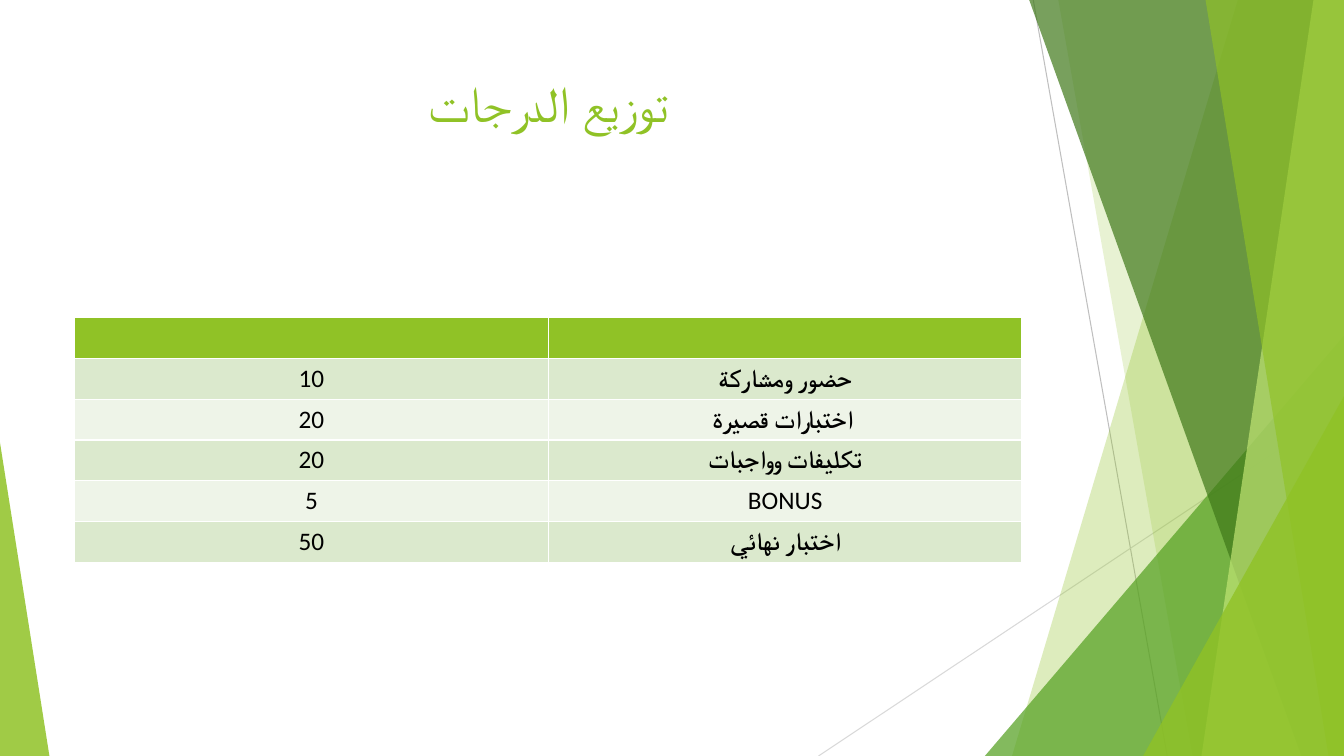
from dataclasses import dataclass

from lxml import etree
from pptx import Presentation
from pptx.dml.color import RGBColor
from pptx.enum.shapes import MSO_CONNECTOR, MSO_SHAPE
from pptx.enum.text import MSO_ANCHOR, PP_ALIGN
from pptx.oxml.ns import qn
from pptx.util import Inches, Pt

STRAIGHT = MSO_CONNECTOR.STRAIGHT
TRIANGLE = MSO_SHAPE.ISOSCELES_TRIANGLE
TOP = MSO_ANCHOR.TOP
CENTER = PP_ALIGN.CENTER

WIDTH, HEIGHT = Inches(13.333), Inches(7.5)
BLANK_LAYOUT = 6


@dataclass(frozen=True)
class Theme:
    """Colours, fonts and type sizes of the slide."""
    lime: str = "90C226"
    green: str = "54A021"
    forest: str = "3F7819"
    pale_lime: str = "C0E474"
    grey: str = "BFBFBF"
    light_grey: str = "D9D9D9"
    black: str = "000000"
    bands: tuple = ("DBE9CD", "EEF4E8")
    title_font: str = "Roboto"
    body_font: str = "Calibri"
    title_size: int = 36
    body_size: int = 18


THEME = Theme()

# Percent of the slide: start x, start y, end x, end y; colour
RAYS = [
    (76.88, 0, 86.85, 100, THEME.grey),
    (100, 53.73, 60.9, 100, THEME.light_grey),
]
# Panels reach the right edge: x at the top, x at the bottom; colour, opacity
BACK_PANELS = [
    (92.1, 75.3, THEME.lime, 30),
    (78.75, 88.73, THEME.lime, 20),
]
FRONT_PANELS = [
    (76.58, 96.83, THEME.forest, 70),
    (97.73, 89.4, THEME.pale_lime, 70),
    (89.7, 98.85, THEME.lime, 65),
]
# Corners stand on the bottom edge: left, right, top; peak, colour, opacity
MIDDLE_CORNER = (73.28, 100, 44.4, 1, THEME.green, 72)
FRONT_CORNERS = [
    (85.05, 100, 52.4, 1, THEME.lime, 80),
    (0, 3.68, 58.53, 0, THEME.lime, 85),
]

CONTENT_LEFT, CONTENT_WIDTH = 5.55, 70.5
TITLE = "توزيع الدرجات"
GRADES = [
    ("10", "حضور ومشاركة"),
    ("20", "اختبارات قصيرة "),
    ("20", "تكليفات وواجبات"),
    ("5", "BONUS"),
    ("50", "اختبار نهائي"),
]


def across(percent):
    """Turn a percentage of the slide's width into a length."""
    return round(WIDTH * percent / 100)


def down(percent):
    """Turn a percentage of the slide's height into a length."""
    return round(HEIGHT * percent / 100)


def paint(shape, color, opacity):
    """Give a shape a see-through fill without outline or shadow."""
    shape.shadow.inherit = False
    shape.line.fill.background()
    shape.fill.solid()
    shape.fill.fore_color.rgb = RGBColor.from_string(color)
    color_node = shape.fill._xPr.find(qn("a:solidFill"))[0]
    etree.SubElement(color_node, qn("a:alpha"), val=str(opacity * 1000))


def add_ray(slide, x1, y1, x2, y2, color):
    """Draw a thin line across the background."""
    ray = slide.shapes.add_connector(
        STRAIGHT, across(x1), down(y1), across(x2), down(y2))
    ray.line.color.rgb = RGBColor.from_string(color)
    ray.line.width = Pt(0.75)
    etree.SubElement(ray._element.spPr, qn("a:effectLst"))


def add_panel(slide, top_x, bottom_x, color, opacity):
    """Draw a full-height panel with a slanted left side."""
    builder = slide.shapes.build_freeform(across(top_x), 0)
    builder.add_line_segments(
        [(WIDTH, 0), (WIDTH, HEIGHT), (across(bottom_x), HEIGHT)], close=True)
    paint(builder.convert_to_shape(), color, opacity)


def add_corner(slide, left, right, top, peak, color, opacity):
    """Draw a right triangle in a bottom corner."""
    corner = slide.shapes.add_shape(
        TRIANGLE, across(left), down(top), across(right - left), down(100 - top))
    corner.adjustments[0] = peak
    paint(corner, color, opacity)


def write(frame, text, font_name, size, color, bold=False):
    """Put one centred, formatted line in a text frame."""
    frame.text = text
    paragraph = frame.paragraphs[0]
    paragraph.alignment = CENTER
    for run in paragraph.runs:
        font = run.font
        font.name, font.size, font.bold = font_name, Pt(size), bold
        font.color.rgb = RGBColor.from_string(color)
        etree.SubElement(font._element, qn("a:cs"), typeface=font_name)


def add_title(slide, text):
    """Add the slide's heading."""
    heading = slide.shapes.add_textbox(
        across(CONTENT_LEFT), down(8.93), across(CONTENT_WIDTH), down(19.2))
    frame = heading.text_frame
    frame.word_wrap = True
    frame.vertical_anchor = TOP
    write(frame, text, THEME.title_font, THEME.title_size, THEME.lime)


def add_grades(slide, grades):
    """Add the table of grades under an empty header row."""
    rows = [("", ""), *grades]
    table = slide.shapes.add_table(
        len(rows), 2, across(CONTENT_LEFT), down(42),
        across(CONTENT_WIDTH), down(32.4)).table
    for row_index, row in enumerate(rows):
        band = THEME.bands[(row_index - 1) % 2] if row_index else THEME.lime
        for column_index, text in enumerate(row):
            cell = table.cell(row_index, column_index)
            cell.fill.solid()
            cell.fill.fore_color.rgb = RGBColor.from_string(band)
            write(cell.text_frame, text, THEME.body_font, THEME.body_size,
                  THEME.black, bold=not text.isascii())


def add_background(slide):
    """Layer the rays, panels and corners from back to front."""
    for ray in RAYS:
        add_ray(slide, *ray)
    for panel in BACK_PANELS:
        add_panel(slide, *panel)
    add_corner(slide, *MIDDLE_CORNER)
    for panel in FRONT_PANELS:
        add_panel(slide, *panel)
    for corner in FRONT_CORNERS:
        add_corner(slide, *corner)


def main():
    """Build and save the slide."""
    deck = Presentation()
    deck.slide_width, deck.slide_height = WIDTH, HEIGHT
    slide = deck.slides.add_slide(deck.slide_layouts[BLANK_LAYOUT])
    add_background(slide)
    add_title(slide, TITLE)
    add_grades(slide, GRADES)
    deck.save("out.pptx")


main()
